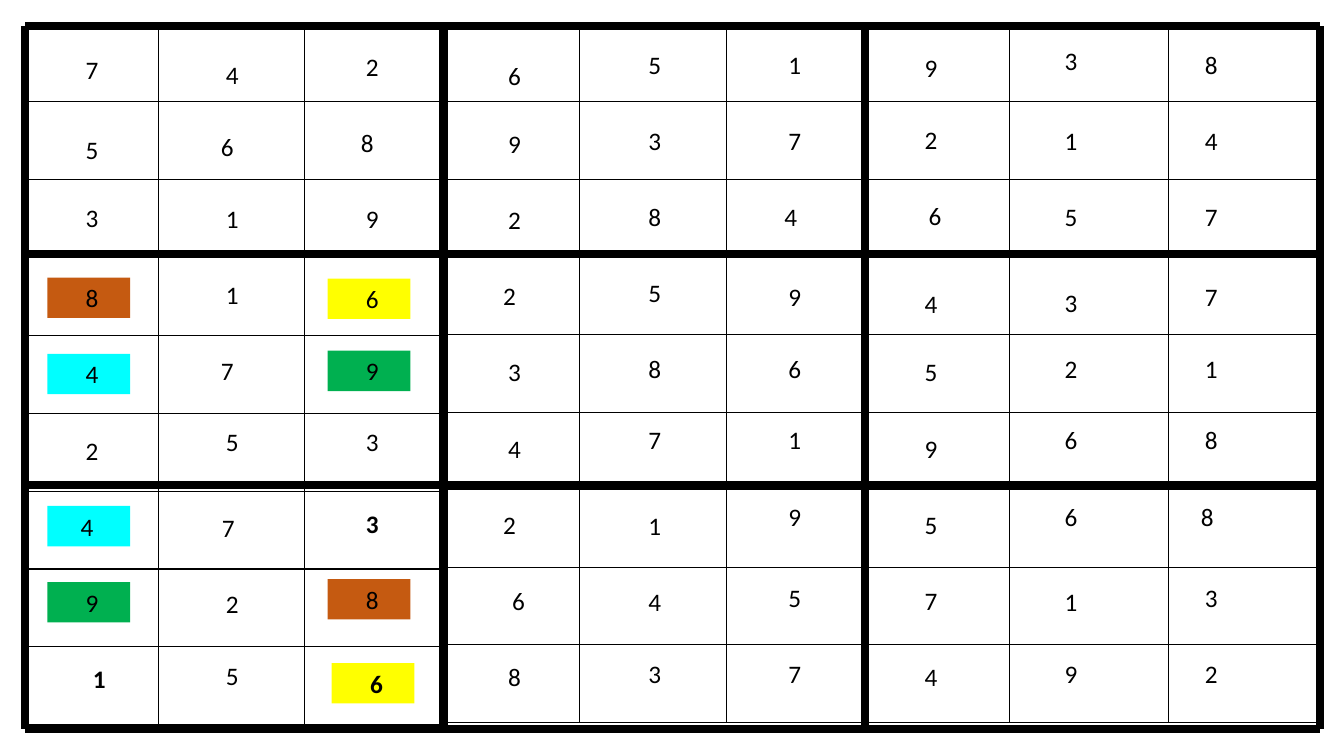
from dataclasses import dataclass

from lxml.etree import SubElement
from pptx import Presentation
from pptx.dml.color import RGBColor
from pptx.enum.shapes import MSO_CONNECTOR
from pptx.enum.text import MSO_AUTO_SIZE
from pptx.oxml.ns import qn
from pptx.util import Inches, Pt


@dataclass(frozen=True)
class Theme:
    """Colours, type and line sizes of the slide."""
    font: str = "Calibri"
    digit_size: int = 18
    ink: str = "000000"
    white: str = "FFFFFF"
    brown: str = "C55A11"
    yellow: str = "FFFF00"
    cyan: str = "00FFFF"
    green: str = "00B050"
    cell_line: int = 1
    frame_line: int = 6


@dataclass(frozen=True)
class Band:
    """Three puzzle columns: their cells, and where their digits start."""
    left: float
    height: float
    widths: tuple
    digit_left: float
    digit_top: float


THEME = Theme()
MARKS = {"w": THEME.white, "b": THEME.brown, "y": THEME.yellow,
         "c": THEME.cyan, "g": THEME.green}

DIGITS = ["742651938", "568937214", "319284657",
          "816259437", "479386521", "253471968",
          "473219568", "928645713", "156837492"]
# Fill behind each digit of the left band; "." is no fill.
LEFT_BAND_MARKS = ["ww.", ".w.", "ww.", "bwy", "c.g", "...", "c.w", "g.b", "w.y"]
BOLD_CELLS = {(6, 2), (8, 0), (8, 2)}
SHORT_INDENT_CELLS = {(1, 1), (1, 2), (3, 3), (4, 1), (6, 0), (6, 3)}

# All lengths are in inches.
BANDS = [Band(0.26, 6.94, (1.31, 1.45, 1.36), digit_left=0.47, digit_top=0.46),
         Band(4.43, 6.92, (1.32, 1.46, 1.37), digit_left=4.66, digit_top=0.44),
         Band(8.58, 6.92, (1.43, 1.58, 1.5), digit_left=8.79, digit_top=0.44)]
BAND_COLUMNS = 3
BAND_TOP, FIRST_ROW = 0.25, 0.76
FRAME_COLUMNS = (0.25, 4.4, 8.58, 13.09)
FRAME_ROWS = (0.26, 2.52, 4.81, 7.23)

COLUMN_PITCH, ROW_PITCH = 1.39, 0.755
FIRST_COLUMN_DROP = 0.03
DIGIT_WIDTH, DIGIT_HEIGHT = 0.82, 0.4
INDENT, SHORT_INDENT = 0.38, 0.33

# The few digits that stand off the grid: distance, then (row, column) cells.
MOVED_DOWN = {
    -0.05: {(5, 1), (5, 2), (5, 4), (5, 5), (5, 7), (5, 8), (6, 5), (6, 7), (6, 8)},
    -0.04: {(0, 7), (1, 6), (2, 0), (2, 6)},
    0.04: {(1, 0), (1, 1), (3, 2), (3, 5), (3, 8), (6, 1), (6, 4),
           (7, 1), (7, 4), (7, 7)},
    0.08: {(0, 1), (0, 3), (3, 6), (8, 2)},
    0.1: {(3, 7)}}
MOVED_RIGHT = {
    -0.04: {(2, 5), (6, 1), (6, 8)},
    0.04: {(2, 6), (7, 3), (8, 2)},
    0.07: {(8, 0)}}


def rgb(colour):
    """Turn a hex string into a colour."""
    return RGBColor.from_string(colour)


def moved_by(moves, cell):
    """Return how far a cell's digit stands off the grid."""
    return sum(distance for distance, cells in moves.items() if cell in cells)


def digit_position(row, column):
    """Return left and top of a digit: its band's start plus whole pitches."""
    band_index, place = divmod(column, BAND_COLUMNS)
    band = BANDS[band_index]
    left = band.digit_left + place * COLUMN_PITCH
    top = band.digit_top + row * ROW_PITCH
    if place == 0:
        top += FIRST_COLUMN_DROP
    cell = (row, column)
    return left + moved_by(MOVED_RIGHT, cell), top + moved_by(MOVED_DOWN, cell)


def border_cell(cell):
    """Give a cell thin lines on all four sides."""
    properties = cell._tc.get_or_add_tcPr()
    for position, side in enumerate(("a:lnL", "a:lnR", "a:lnT", "a:lnB")):
        line = properties.makeelement(qn(side), {"w": str(Pt(THEME.cell_line))})
        fill = SubElement(line, qn("a:solidFill"))
        SubElement(fill, qn("a:srgbClr"), val=THEME.ink)
        properties.insert(position, line)


def add_band(slide, band):
    """Add the empty cells of three puzzle columns."""
    rows = len(DIGITS)
    cells = slide.shapes.add_table(
        rows, BAND_COLUMNS, Inches(band.left), Inches(BAND_TOP),
        Inches(sum(band.widths)), Inches(band.height)).table
    cells.first_row = cells.horz_banding = False
    for column, width in zip(cells.columns, band.widths):
        column.width = Inches(width)
    later_row = (band.height - FIRST_ROW) / (rows - 1)
    for index, row in enumerate(cells.rows):
        row.height = Inches(later_row if index else FIRST_ROW)
    for cell in cells.iter_cells():
        cell.fill.solid()
        cell.fill.fore_color.rgb = rgb(THEME.white)
        border_cell(cell)


def add_digit(slide, row, column):
    """Add one digit of the puzzle, with its mark if it has one."""
    left, top = digit_position(row, column)
    digit = slide.shapes.add_textbox(
        Inches(left), Inches(top), Inches(DIGIT_WIDTH), Inches(DIGIT_HEIGHT))
    mark = LEFT_BAND_MARKS[row][column:column + 1]
    if mark in MARKS:
        digit.fill.solid()
        digit.fill.fore_color.rgb = rgb(MARKS[mark])
    frame = digit.text_frame
    frame.word_wrap = True
    frame.auto_size = MSO_AUTO_SIZE.SHAPE_TO_FIT_TEXT
    is_short = (row, column) in SHORT_INDENT_CELLS
    frame.margin_left = Inches(SHORT_INDENT if is_short else INDENT)
    frame.text = DIGITS[row][column]
    font = frame.paragraphs[0].font
    font.name = THEME.font
    font.size = Pt(THEME.digit_size)
    font.bold = (row, column) in BOLD_CELLS
    font.color.rgb = rgb(THEME.ink)


def add_frame_line(slide, start, end):
    """Add one thick line of the frame between two points."""
    edge = slide.shapes.add_connector(
        MSO_CONNECTOR.STRAIGHT, *map(Inches, start + end))
    edge.line.width = Pt(THEME.frame_line)
    edge.line.color.rgb = rgb(THEME.ink)
    SubElement(edge._element.spPr, qn("a:effectLst"))


def add_frame(slide):
    """Add the thick lines around and between the 3 by 3 boxes."""
    left, *_, right = FRAME_COLUMNS
    top, *_, bottom = FRAME_ROWS
    for x in FRAME_COLUMNS:
        add_frame_line(slide, (x, top), (x, bottom))
    for y in FRAME_ROWS:
        add_frame_line(slide, (left, y), (right, y))


def main():
    """Build the puzzle slide."""
    deck = Presentation()
    deck.slide_width, deck.slide_height = Inches(13.33), Inches(7.5)
    slide = deck.slides.add_slide(deck.slide_layouts[6])
    for band in BANDS:
        add_band(slide, band)
    for row, digits in enumerate(DIGITS):
        for column in range(len(digits)):
            add_digit(slide, row, column)
    add_frame(slide)
    deck.save("out.pptx")


main()
